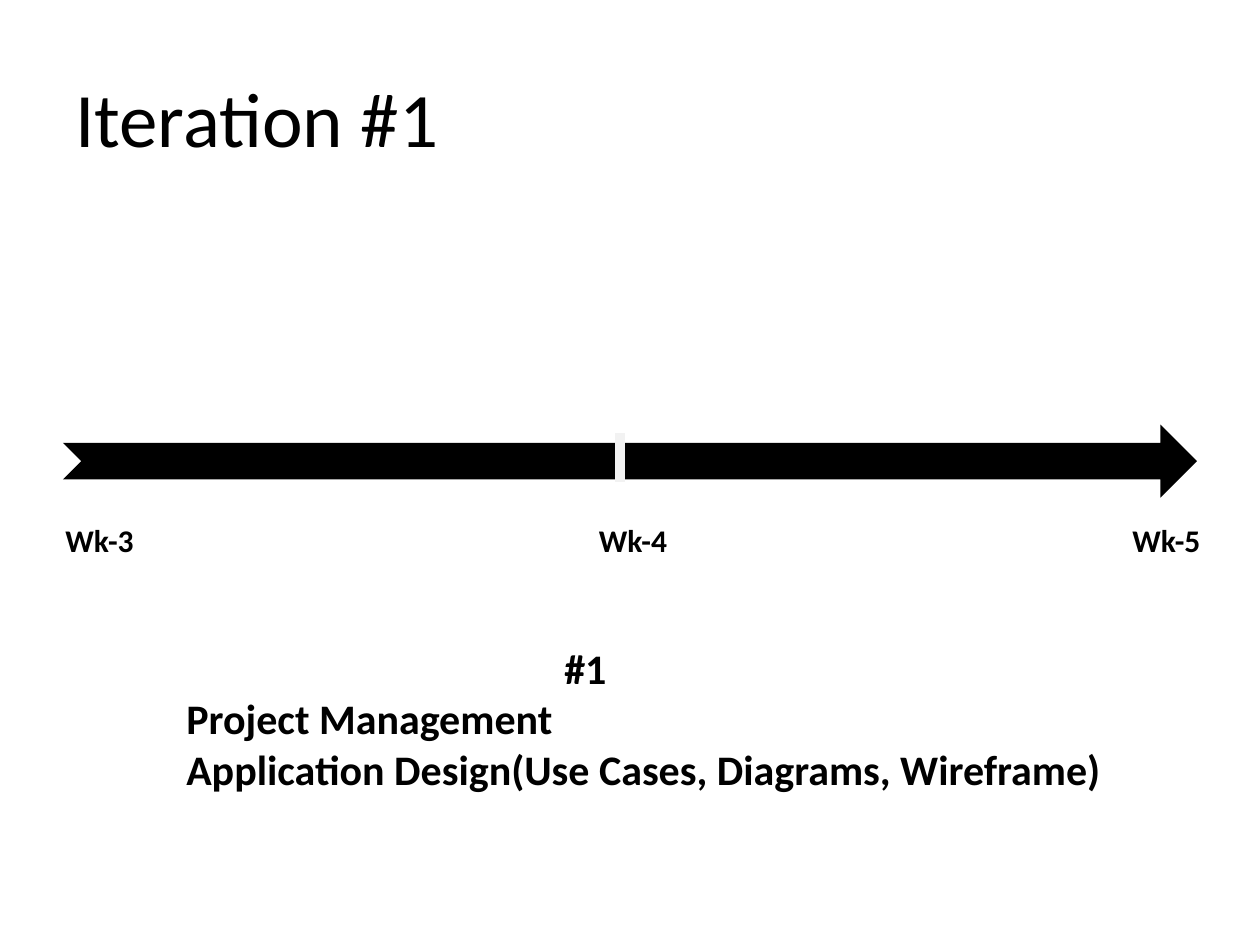
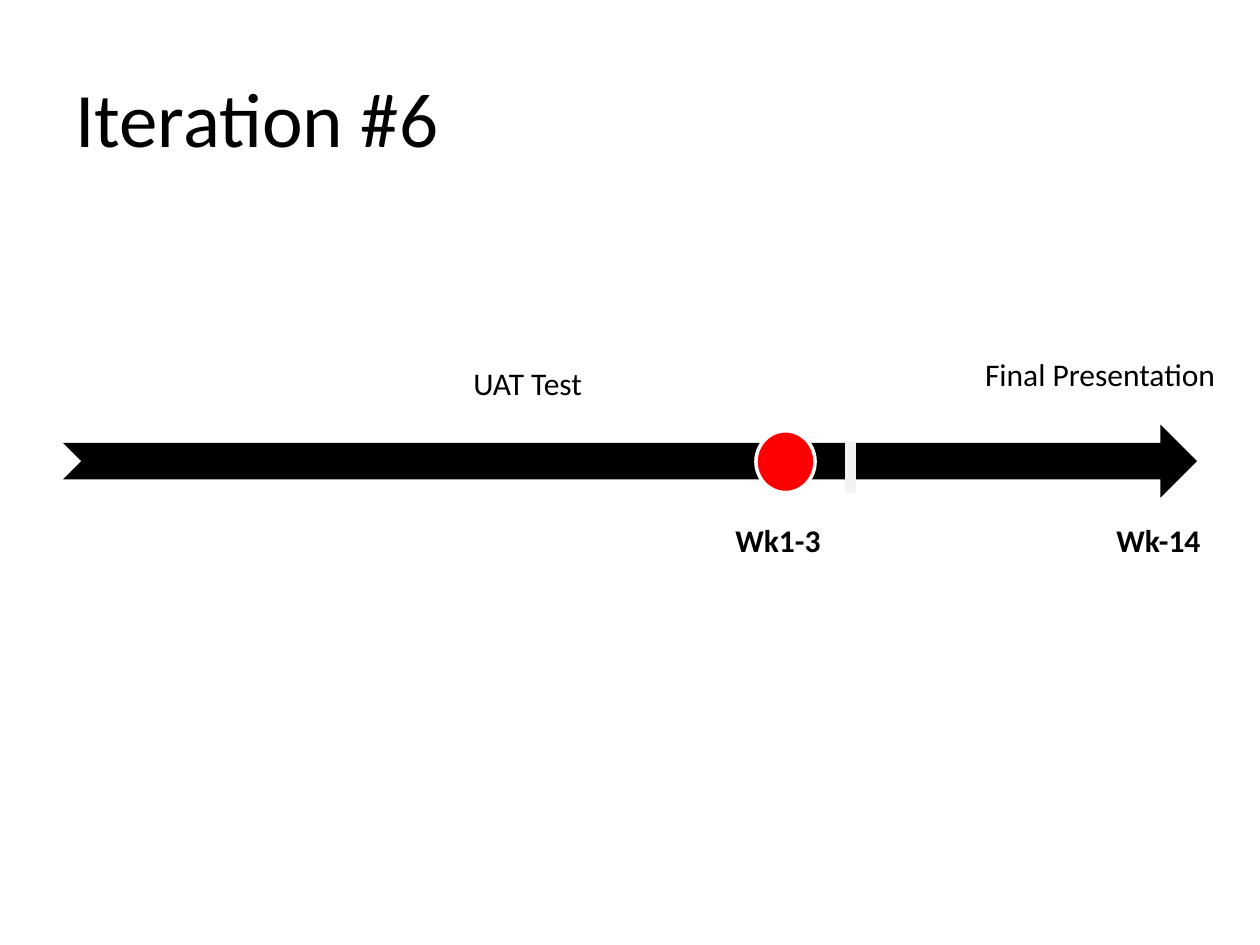
import pptx
import pptx.util
import pptx.dml.color
import pptx.enum.shapes
import pptx.enum.text
import pptx.oxml.ns
import lxml.etree

Pt = pptx.util.Pt
Shapes = pptx.enum.shapes.MSO_SHAPE
Align = pptx.enum.text.PP_ALIGN
Anchor = pptx.enum.text.MSO_ANCHOR

COLORS = {"ink": "000000", "paper": "FFFFFF", "tick": "F2F2F2", "milestone": "FF0000"}
FONT = "Calibri"
TITLE_BOX = (36, 21.6, 648, 90)
ARROW_BOX = (36, 242.6, 648, 41.8)
WEEKS_BOX = (30.2, 295.2, 663, 29.2)


def color(name):
    return pptx.dml.color.RGBColor.from_string(COLORS[name])


def write(para, text, size=18, bold=False, align=Align.LEFT, indent=0):
    para.alignment = align
    if indent:
        para._p.get_or_add_pPr().set("marL", str(Pt(indent)))
    span = para.add_run()
    span.text = text
    span.font.name = FONT
    span.font.size = Pt(size)
    span.font.bold = bold
    span.font.color.rgb = color("ink")


def add_text(page, box, lines, anchor=Anchor.TOP, wrap=False, **style):
    frame = page.shapes.add_textbox(*map(Pt, box)).text_frame
    frame.word_wrap = wrap
    frame.vertical_anchor = anchor
    for number, (text, indent) in enumerate(lines):
        para = frame.add_paragraph() if number else frame.paragraphs[0]
        write(para, text, indent=indent, **style)


def add_filled(page, kind, box, fill):
    shape = page.shapes.add_shape(kind, *map(Pt, box))
    shape.shadow.inherit = False
    shape.fill.solid()
    shape.fill.fore_color.rgb = color(fill)
    shape.line.fill.background()
    return shape


def add_timeline(page, box, tick, milestone=None):
    left, top, width, height = box
    add_filled(page, Shapes.NOTCHED_RIGHT_ARROW, box, "ink")
    if milestone is not None:
        dot = add_filled(page, Shapes.OVAL, (left + milestone, top + 3.6, 33.8, 35.3), "milestone")
        dot.line.color.rgb = color("paper")
        dot.line.width = Pt(2)
    tick_left, tick_top, tick_height = tick
    x, y = left + tick_left, top + tick_top
    line = page.shapes.add_connector(
        pptx.enum.shapes.MSO_CONNECTOR.STRAIGHT, Pt(x), Pt(y), Pt(x), Pt(y + tick_height))
    line.line.color.rgb = color("tick")
    line.line.width = Pt(6)
    lxml.etree.SubElement(line._element.spPr, pptx.oxml.ns.qn("a:effectLst"))


def add_weeks(page, box, weeks):
    table = page.shapes.add_table(1, len(weeks), *map(Pt, box)).table
    table.first_row = False
    table.horz_banding = False
    for column, week in enumerate(weeks):
        cell = table.cell(0, column)
        cell.fill.background()
        if column == 0:
            align = Align.LEFT
        elif column == len(weeks) - 1:
            align = Align.RIGHT
        else:
            align = Align.CENTER
        if week:
            write(cell.text_frame.paragraphs[0], week, bold=True, align=align)


def add_iteration(deck, title, weeks, tick, milestone=None):
    page = deck.slides.add_slide(deck.slide_layouts[6])
    add_text(page, TITLE_BOX, [(title, 0)], anchor=Anchor.MIDDLE, wrap=True, size=44)
    add_timeline(page, ARROW_BOX, tick, milestone)
    add_weeks(page, WEEKS_BOX, weeks)
    return page


def main():
    deck = pptx.Presentation()
    deck.slide_width, deck.slide_height = Pt(720), Pt(540)

    first = add_iteration(deck, "Iteration #1", ["Wk-3", "Wk-4", "Wk-5"], tick=(318.2, 5, 28))
    tasks = [("#1", 216), ("Project Management", 0),
             ("Application Design(Use Cases, Diagrams, Wireframe)", 0)]
    add_text(first, (99.4, 363.6, 542.9, 94.3), tasks, size=24, bold=True)

    last = add_iteration(deck, "Iteration #6", ["", "", "Wk1-3", "Wk-14"],
                         tick=(450, 9.4, 30), milestone=396)
    add_text(last, (555.8, 199.4, 147.6, 28.8), [("Final Presentation", 0)])
    add_text(last, (263.5, 204.5, 77, 28.8), [("UAT Test", 0)])

    deck.save("out.pptx")


if __name__ == "__main__":
    main()
